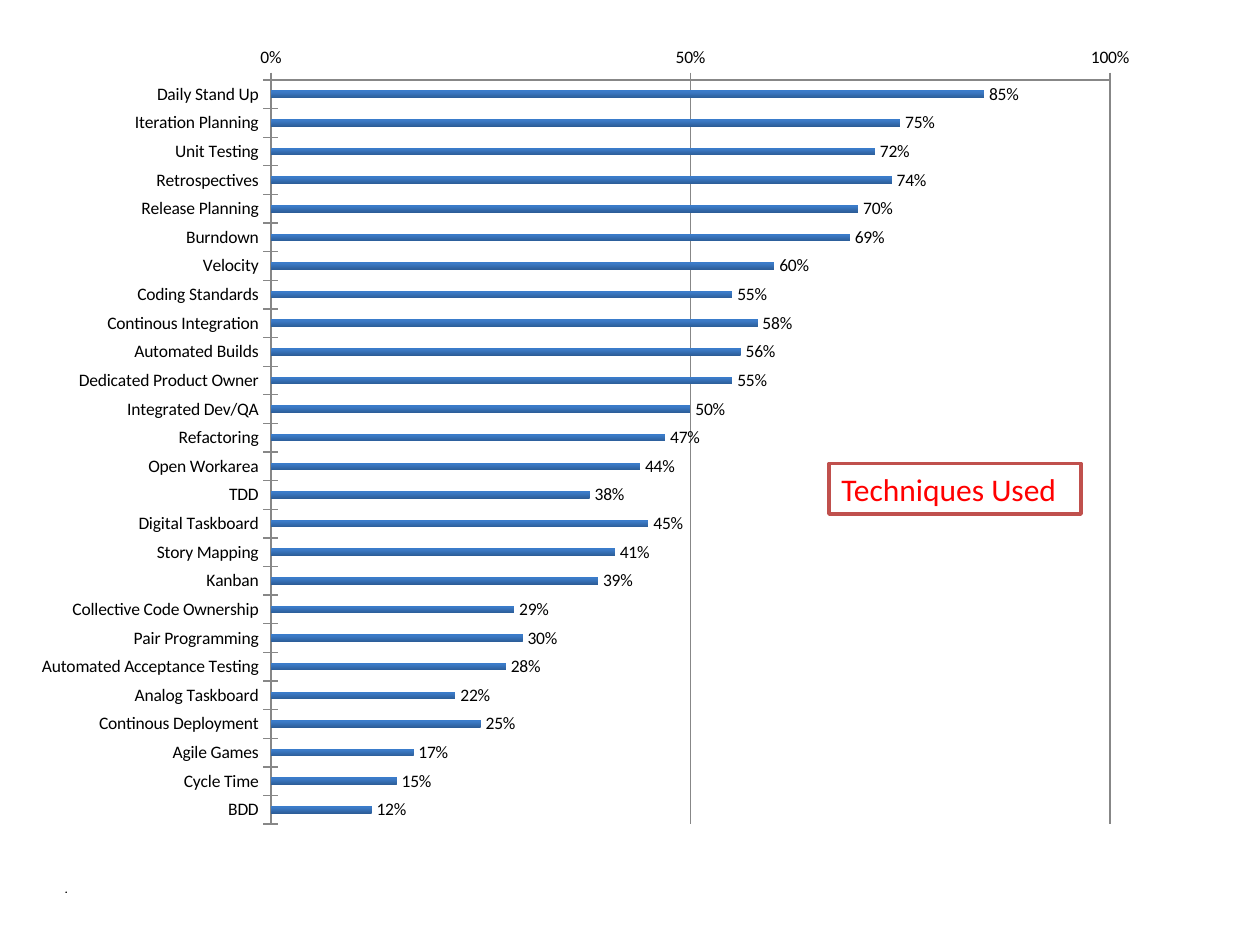
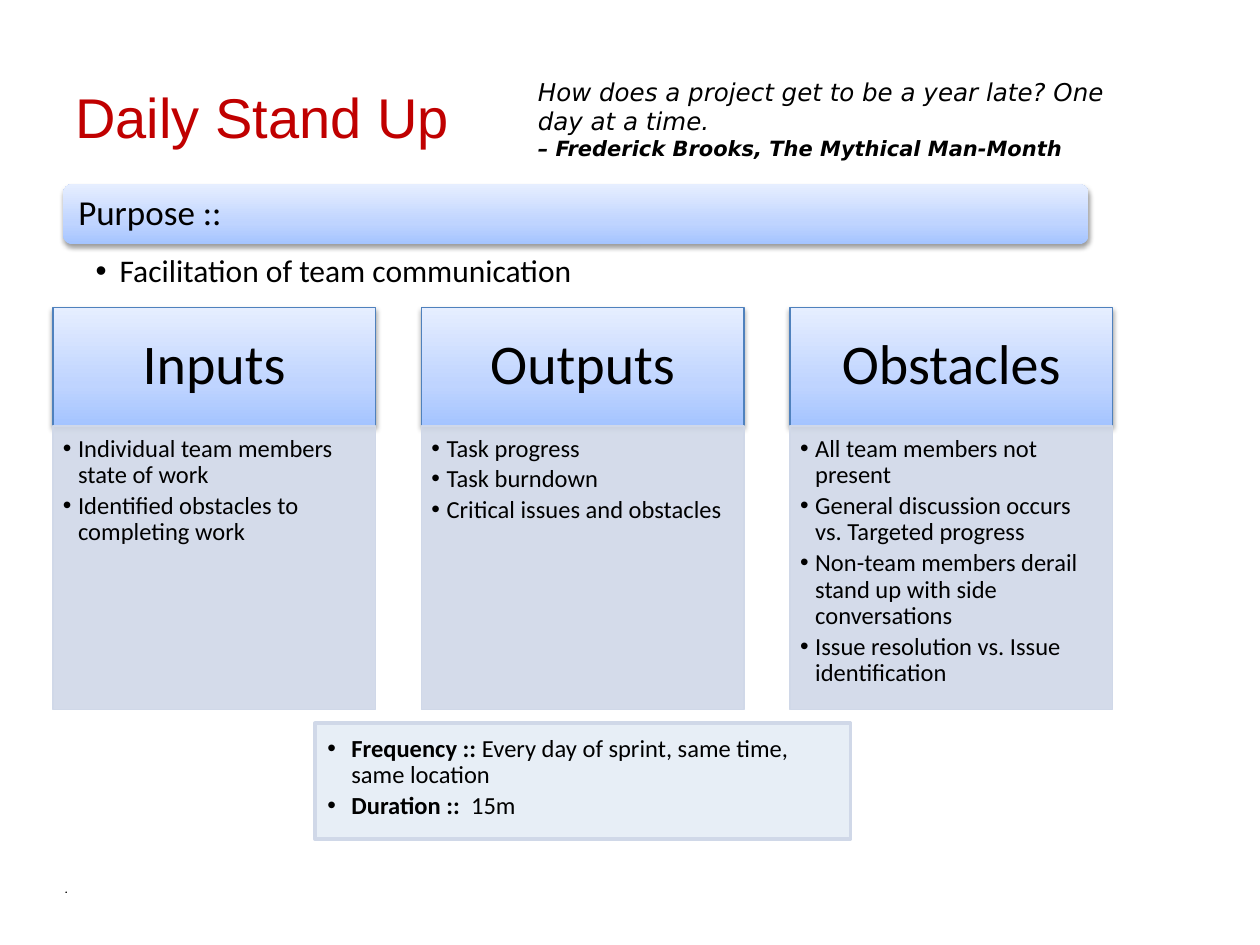
from lxml.etree import SubElement
from pptx import Presentation
from pptx.chart.data import CategoryChartData
from pptx.dml.color import RGBColor
from pptx.enum.chart import XL_CHART_TYPE as ChartType
from pptx.enum.chart import XL_LABEL_POSITION as LabelPosition
from pptx.enum.chart import XL_TICK_MARK as TickMark
from pptx.enum.shapes import MSO_SHAPE as Preset
from pptx.enum.text import MSO_ANCHOR as Anchor
from pptx.enum.text import PP_ALIGN as Align
from pptx.oxml.ns import qn
from pptx.util import Inches, Pt

BLACK = RGBColor(0x00, 0x00, 0x00)
WHITE = RGBColor(0xFF, 0xFF, 0xFF)
TITLE_RED = RGBColor(0xC0, 0x00, 0x00)
CALLOUT_RED = RGBColor(0xFF, 0x00, 0x00)
CALLOUT_EDGE = RGBColor(0xC0, 0x50, 0x4D)
BLUE = RGBColor(0x4F, 0x81, 0xBD)
PALE_BLUE = RGBColor(0xD0, 0xD8, 0xE8)
RHYTHM_BLUE = RGBColor(0xB9, 0xCD, 0xE5)
AXIS_GREY = RGBColor(0x87, 0x87, 0x87)
BAND_STOPS = [
    (0, RGBColor(0xA4, 0xC4, 0xFF)),
    (35, RGBColor(0xBF, 0xD4, 0xFF)),
    (100, RGBColor(0xE6, 0xEE, 0xFF)),
]
BAR_STOPS = [
    (0, RGBColor(0x2C, 0x5D, 0x98)),
    (80, RGBColor(0x3C, 0x7B, 0xC7)),
    (100, RGBColor(0x3A, 0x7C, 0xCB)),
]
BODY_FONT = "Calibri"

TECHNIQUES = [
    ("Daily Stand Up", 0.85), ("Iteration Planning", 0.75),
    ("Unit Testing", 0.72), ("Retrospectives", 0.74),
    ("Release Planning", 0.7), ("Burndown", 0.69),
    ("Velocity", 0.6), ("Coding Standards", 0.55),
    ("Continous Integration", 0.58), ("Automated Builds", 0.56),
    ("Dedicated Product Owner", 0.55), ("Integrated Dev/QA", 0.5),
    ("Refactoring", 0.47), ("Open Workarea", 0.44),
    ("TDD", 0.38), ("Digital Taskboard", 0.45),
    ("Story Mapping", 0.41), ("Kanban", 0.39),
    ("Collective Code Ownership", 0.29), ("Pair Programming", 0.3),
    ("Automated Acceptance Testing", 0.28), ("Analog Taskboard", 0.22),
    ("Continous Deployment", 0.25), ("Agile Games", 0.17),
    ("Cycle Time", 0.15), ("BDD", 0.12),
]

STAND_UP_CARDS = [
    ("Inputs", ["Individual team members state of work",
                "Identified obstacles to completing work"]),
    ("Outputs", ["Task progress", "Task burndown",
                 "Critical issues and obstacles"]),
    ("Obstacles", ["All team members not present",
                   "General discussion occurs vs. Targeted progress",
                   "Non-team members derail stand up with side conversations",
                   "Issue resolution vs. Issue identification"]),
]


def style_font(font, size, color=BLACK, name=BODY_FONT, bold=False, italic=False):
    font.size = Pt(size)
    font.name = name
    font.bold = bold
    font.italic = italic
    font.color.rgb = color


def set_frame(holder, insets=(0.1, 0.05, 0.1, 0.05), anchor=Anchor.TOP):
    frame = holder.text_frame
    frame.word_wrap = True
    frame.vertical_anchor = anchor
    frame.margin_left, frame.margin_top, frame.margin_right, frame.margin_bottom = map(Inches, insets)
    return frame


def write_line(frame, text, size, align=Align.LEFT, spacing=None, **look):
    paragraph = frame.paragraphs[0]
    if paragraph.runs:
        paragraph = frame.add_paragraph()
    paragraph.text = text
    paragraph.alignment = align
    paragraph.line_spacing = spacing
    for run in paragraph.runs:
        style_font(run.font, size, **look)
    return paragraph


def write_bullet(frame, text, size, indent, lead=""):
    paragraph = write_line(frame, lead or text, size, spacing=0.9, bold=bool(lead))
    if lead:
        detail = paragraph.add_run()
        detail.text = text
        style_font(detail.font, size)
    paragraph.space_after = Pt(2.4)
    properties = paragraph._p.get_or_add_pPr()
    properties.set("marL", str(Inches(indent)))
    properties.set("indent", str(-Inches(indent)))
    SubElement(properties, qn("a:buFont"), typeface="Arial")
    SubElement(properties, qn("a:buChar"), char="•")


def add_text(slide, box, **layout):
    return set_frame(slide.shapes.add_textbox(*map(Inches, box)), **layout)


def add_panel(slide, preset, box, edge=None, width=0.75):
    panel = slide.shapes.add_shape(preset, *map(Inches, box))
    panel.shadow.inherit = False
    if edge is None:
        panel.line.fill.background()
    else:
        panel.line.color.rgb = edge
        panel.line.width = Pt(width)
    return panel


def fill_plain(panel, color, opacity=100):
    panel.fill.solid()
    panel.fill.fore_color.rgb = color
    if opacity < 100:
        tint = panel._element.spPr.find(qn("a:solidFill"))[0]
        SubElement(tint, qn("a:alpha"), val=str(opacity * 1000))


def fill_upward(fill, properties, stops):
    fill.gradient()
    fill.gradient_angle = 90
    stop_list = properties.find(qn("a:gradFill")).find(qn("a:gsLst"))
    for old_stop in list(stop_list):
        stop_list.remove(old_stop)
    for position, color in stops:
        stop = SubElement(stop_list, qn("a:gs"), pos=str(position * 1000))
        SubElement(stop, qn("a:srgbClr"), val=str(color))


def add_band(slide, preset, box, edge=None):
    band = add_panel(slide, preset, box, edge)
    properties = band._element.spPr
    fill_upward(band.fill, properties, BAND_STOPS)
    shadow = SubElement(properties.find(qn("a:effectLst")), qn("a:outerShdw"),
                        blurRad=str(Pt(3.1)), dist=str(Pt(1.6)), dir="5400000", rotWithShape="0")
    shade = SubElement(shadow, qn("a:srgbClr"), val=str(BLACK))
    SubElement(shade, qn("a:alpha"), val="38000")
    return band


def add_footer(slide):
    write_line(add_text(slide, (0.42, 6.92, 8.25, 0.25)), ".", 9, name="Cabin", italic=True)


def place_plot(chart, x, y, w, h):
    plot_area = chart._chartSpace.chart.plotArea
    layout = plot_area.find(qn("c:layout"))
    if layout is None:
        layout = plot_area.makeelement(qn("c:layout"))
        plot_area.insert(0, layout)
    manual = SubElement(layout, qn("c:manualLayout"))
    settings = [("layoutTarget", "inner"), ("xMode", "edge"), ("yMode", "edge"),
                ("x", x), ("y", y), ("w", w), ("h", h)]
    for tag, value in settings:
        SubElement(manual, qn("c:" + tag), val=str(value))


def add_techniques_chart(slide, box):
    usage = CategoryChartData(number_format="0%")
    usage.categories = [name for name, share in TECHNIQUES]
    usage.add_series("Series 1", [share for name, share in TECHNIQUES])
    chart = slide.shapes.add_chart(ChartType.BAR_CLUSTERED, *map(Inches, box), usage).chart
    chart.has_legend = False
    chart.has_title = False
    style_font(chart.font, 10)
    place_plot(chart, 0.22, 0.06, 0.74, 0.92)

    names, shares = chart.category_axis, chart.value_axis
    names.reverse_order = True
    names.major_tick_mark = TickMark.CROSS
    shares.major_tick_mark = TickMark.OUTSIDE
    shares.minimum_scale, shares.maximum_scale, shares.major_unit = 0, 1, 0.5
    shares.has_major_gridlines = True
    shares.tick_labels.number_format = "0%"
    shares.tick_labels.number_format_is_linked = False
    for rule in (names.format.line, shares.format.line, shares.major_gridlines.format.line):
        rule.color.rgb = AXIS_GREY
        rule.width = Pt(0.75)

    bars = chart.plots[0]
    bars.gap_width, bars.overlap = 278, -28
    bars.vary_by_categories = False
    series = bars.series[0]
    bar_fill = series.format.fill
    fill_upward(bar_fill, series._element.find(qn("c:spPr")), BAR_STOPS)
    bars.has_data_labels = True
    labels = bars.data_labels
    labels.show_value = True
    labels.number_format = "0%"
    labels.number_format_is_linked = False
    labels.position = LabelPosition.OUTSIDE_END
    style_font(labels.font, 10)


def add_callout(slide, box):
    callout = add_panel(slide, Preset.RECTANGLE, box, CALLOUT_EDGE, 2)
    fill_plain(callout, WHITE)
    write_line(set_frame(callout), "Techniques Used", 18, color=CALLOUT_RED)


def add_heading(slide, box):
    left, top, width, height = box
    title = add_text(slide, (left, top, 3.75, height), anchor=Anchor.MIDDLE)
    write_line(title, "Daily Stand Up", 32, color=TITLE_RED, name="Arial")
    quote = add_text(slide, (left + 3.67, top + 0.26, width - 3.67, 0.77))
    write_line(quote, "How does a project get to be a year late? One day at a time.", 14,
               name="DejaVu Sans", italic=True)
    write_line(quote, "– Frederick Brooks, The Mythical Man-Month", 12,
               name="DejaVu Sans", bold=True, italic=True)


def add_purpose(slide, box):
    left, top, width, height = box
    band = add_band(slide, Preset.ROUNDED_RECTANGLE, (left, top, width, 0.48))
    write_line(set_frame(band, anchor=Anchor.MIDDLE), "Purpose ::", 20, spacing=0.9)
    aim = add_text(slide, (left, top + 0.54, width, height - 0.54), insets=(0.26, 0.03, 0.14, 0.03))
    write_bullet(aim, "Facilitation of team communication", 18, 0.19)


def add_card(slide, box, heading, points):
    left, top, width, height = box
    head_height = 0.94
    head = add_band(slide, Preset.RECTANGLE, (left, top, width, head_height), BLUE)
    write_line(set_frame(head, (0.25, 0.14, 0.25, 0.14), Anchor.MIDDLE), heading, 32,
               align=Align.CENTER, spacing=0.9)
    body = add_panel(slide, Preset.RECTANGLE,
                     (left, top + head_height, width, height - head_height), PALE_BLUE)
    fill_plain(body, PALE_BLUE, 90)
    frame = set_frame(body, (0.08, 0.08, 0.11, 0.12))
    for point in points:
        write_bullet(frame, point, 14, 0.12)


def add_cards(slide, box):
    left, top, width, height = box
    card_width = 2.56
    step = (width - card_width) / (len(STAND_UP_CARDS) - 1)
    for index, (heading, points) in enumerate(STAND_UP_CARDS):
        add_card(slide, (left + index * step, top, card_width, height), heading, points)


def add_rhythm(slide, box):
    rhythm = add_panel(slide, Preset.RECTANGLE, box, PALE_BLUE, 2)
    fill_plain(rhythm, RHYTHM_BLUE, 33)
    frame = set_frame(rhythm, (0.1, 0.1, 0.14, 0.16))
    write_bullet(frame, " Every day of sprint, same time, same location", 14, 0.19, "Frequency ::")
    write_bullet(frame, " 15m", 14, 0.19, "Duration :: ")


def build_techniques_slide(slide):
    add_footer(slide)
    add_techniques_chart(slide, (0.17, 0.25, 9, 6.42))
    add_callout(slide, (6.58, 3.68, 2, 0.4))


def build_stand_up_slide(slide):
    add_footer(slide)
    add_heading(slide, (0.5, 0.3, 8.42, 1.25))
    add_purpose(slide, (0.5, 1.46, 8.14, 0.71))
    add_cards(slide, (0.42, 2.44, 8.41, 3.19))
    add_rhythm(slide, (2.5, 5.74, 4.25, 0.92))


def main():
    deck = Presentation()
    deck.slide_width, deck.slide_height = Inches(10), Inches(7.5)
    for build in (build_techniques_slide, build_stand_up_slide):
        build(deck.slides.add_slide(deck.slide_layouts[6]))
    deck.save("out.pptx")


if __name__ == "__main__":
    main()
